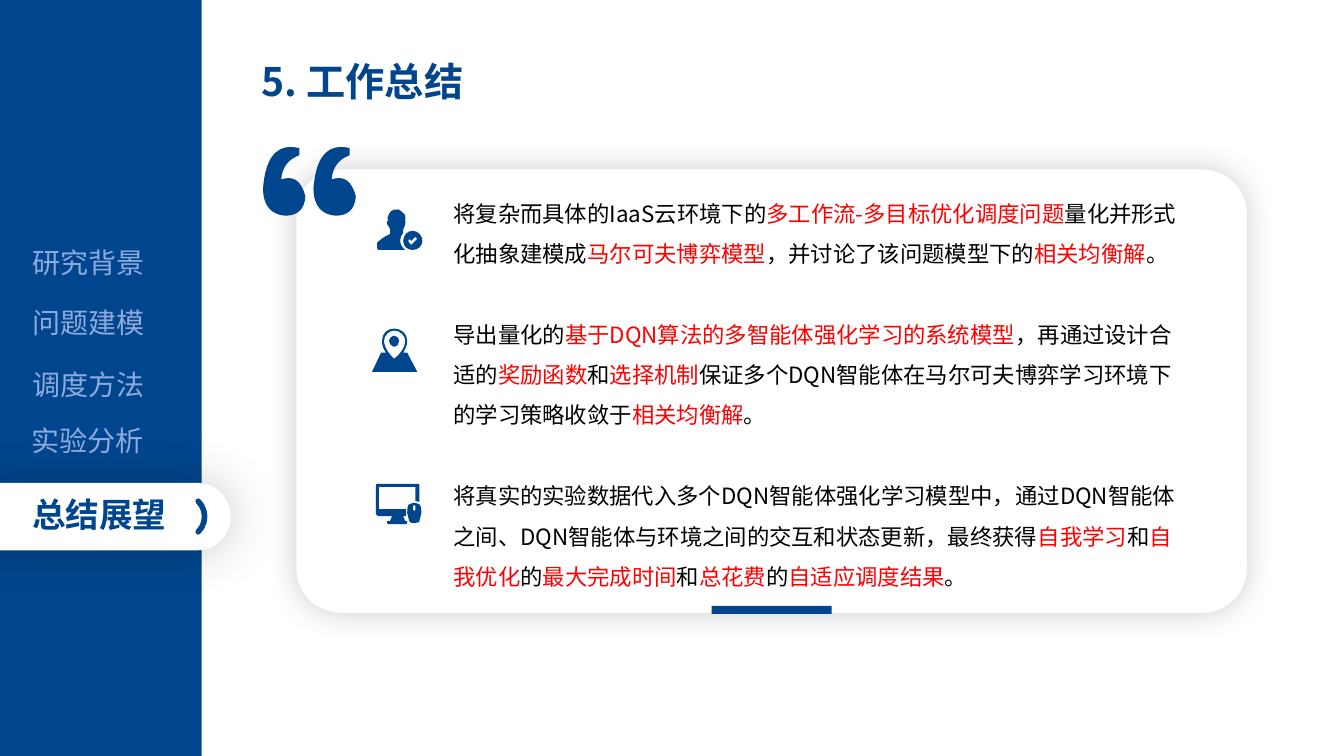
"""Build the work summary slide with its navigation sidebar."""
from lxml import etree
from pptx import Presentation
from pptx.dml.color import RGBColor
from pptx.enum.shapes import MSO_SHAPE
from pptx.enum.text import MSO_AUTO_SIZE
from pptx.oxml.ns import qn
from pptx.util import Pt

PX = 9144
SLIDE_SIZE = (12192000, 6858000)
FONT = "Noto Sans CJK SC"
BLUE = RGBColor(0x00, 0x46, 0x8E)
PALE_BLUE = RGBColor(0x8F, 0xAA, 0xDC)
WHITE = RGBColor(0xFF, 0xFF, 0xFF)
BLACK = RGBColor(0x00, 0x00, 0x00)
RED = RGBColor(0xFF, 0x00, 0x00)
RECTANGLE = MSO_SHAPE.RECTANGLE
ROUNDED = MSO_SHAPE.ROUNDED_RECTANGLE
ARC = MSO_SHAPE.ARC
FIT_SHAPE = MSO_AUTO_SIZE.SHAPE_TO_FIT_TEXT

TITLE = "5. 工作总结"
CURRENT_SECTION = "总结展望"
SECTIONS = [
    ("研究背景", 22, 239),
    ("问题建模", 22, 298),
    ("调度方法", 22, 360),
    ("实验分析", 21, 415),
]
# Text between bars is emphasised.
SUMMARY = [
    "将复杂而具体的IaaS云环境下的|多工作流-多目标优化调度问题|量化并形式化抽象建模成"
    "|马尔可夫博弈模型|，并讨论了该问题模型下的|相关均衡解|。",
    "导出量化的|基于DQN算法的多智能体强化学习的系统模型|，再通过设计合适的|奖励函数|和"
    "|选择机制|保证多个DQN智能体在马尔可夫博弈学习环境下的学习策略收敛于|相关均衡解|。",
    "将真实的实验数据代入多个DQN智能体强化学习模型中，通过DQN智能体之间、"
    "DQN智能体与环境之间的交互和状态更新，最终获得|自我学习|和|自我优化|的"
    "|最大完成时间|和|总花费|的|自适应调度结果|。",
]

QUOTE_MARK = ("289,146 292,146,294,146,297,147 297,154 286,158,280,166,279,178 "
              "291,174,299,179,303,195 302,208,295,214,283,214 "
              "269,213,261,204,261,187 263,159,273,145,289,146")
QUOTE_SHIFTS = (0, 50)
USER_ICON = [
    "412,235 408,239 406,237 405,239 406,241 408,243 410,241 414,237",
    "409,229 415,229,419,234,419,239 419,244,415,248,409,248 "
    "404,248,400,244,400,239 400,234,404,229,409,229",
    "393,208 395,207,396,208,397,209 399,209,399,211,399,211 "
    "399,211,403,211,402,218 402,219,402,219,402,219 402,219,403,220,402,222 "
    "402,225,401,225,401,225 401,226,400,227,400,228 400,231 "
    "398,233,397,236,397,239 397,242,399,246,402,248 376,248 "
    "375,248,374,247,374,246 374,243 374,241,374,240,375,240 "
    "380,235,386,233,387,232 387,232,387,232,387,232 387,228 "
    "386,227,386,226,386,225 385,225,385,224,384,222 "
    "383,220,384,219,385,219 385,219,385,219,385,218 "
    "384,217,384,216,385,215 385,213,386,212,387,211 387,210,388,209,389,209 "
    "389,209,390,208,391,208 391,208,392,208,393,208",
]
MAP_ICON = [
    "391,333 394,333,396,336,396,338 396,341,394,344,391,344 "
    "389,344,386,341,386,338 386,336,389,333,391,333",
    "391,328 386,328,381,333,381,338 381,346,388,353,391,356 "
    "395,353,402,346,402,338 402,333,397,328,391,328",
    "391,326 398,326,404,331,404,338 404,343,402,346,400,350 404,350 "
    "414,369 369,369 378,350 383,350 380,346,379,343,379,338 "
    "379,331,384,326,391,326",
]
COMPUTER_ICON = [
    "411,501 410,501,410,501,410,502 410,506 410,507,410,507,411,507 "
    "412,507,412,507,412,506 412,502 412,501,412,501,411,501",
    "411,499 411,499,412,499,412,499 413,499,415,500,417,501 "
    "417,501,417,501,417,501 "
    "418,504,418,507,418,509 417,512,417,514,416,517 416,518,416,518,416,518 "
    "414,519,413,519,411,519 409,519,408,519,407,518 406,518,406,518,406,517 "
    "405,514,405,512,404,509 404,507,404,504,405,501 405,501,405,501,405,501 "
    "407,500,409,499,410,499 410,499,410,499,411,499",
    "375,480 414,480 415,480,416,480,416,481 416,498 415,498,413,497,412,497 "
    "412,483 376,483 376,505 403,505 403,507,403,508,403,510 "
    "403,511,403,511,403,512 400,512 402,517 403,517 404,517,404,517,404,517 "
    "404,519 404,519,404,520,403,520 385,520 385,520,384,519,384,519 384,517 "
    "384,517,385,517,385,517 387,517 389,512 375,512 374,512,373,511,373,510 "
    "373,481 373,480,374,480,375,480",
]


def add_preset(shapes, kind, box, fill=None, radius=None, shadow=None):
    """Add a borderless preset shape, optionally with a soft shadow."""
    shape = shapes.add_shape(kind, *[value * PX for value in box])
    shape.shadow.inherit = False
    shape.line.fill.background()
    if fill is None:
        shape.fill.background()
    else:
        shape.fill.solid()
        shape.fill.fore_color.rgb = fill
    if radius is not None:
        shape.adjustments[0] = radius
    if shadow is not None:
        opacity, blur = shadow
        effects = shape._element.spPr.find(qn("a:effectLst"))
        outer = etree.SubElement(effects, qn("a:outerShdw"), blurRad=str(Pt(blur)),
                                 dist="0", dir="0", algn="ctr", rotWithShape="0")
        color = etree.SubElement(outer, qn("a:srgbClr"), val=str(BLACK))
        etree.SubElement(color, qn("a:alpha"), val=str(opacity * 1000))
    return shape


def read_outline(outline, shift=0):
    """Turn an outline into segments of one or three points."""
    segments = []
    for token in outline.split():
        numbers = [int(number) for number in token.split(",")]
        segments.append([(x + shift, y) for x, y in zip(numbers[::2], numbers[1::2])])
    return segments


def add_outline(shapes, contours):
    """Add one blue freeform made of closed contours with cubic curves."""
    builder = shapes.build_freeform(*contours[0][0][0], scale=PX)
    for index, segments in enumerate(contours):
        if index:
            builder.move_to(*segments[0][0])
        builder.add_line_segments([points[-1] for points in segments[1:]], close=True)
    shape = builder.convert_to_shape()
    shape.shadow.inherit = False
    shape.fill.solid()
    shape.fill.fore_color.rgb = BLUE
    shape.line.fill.background()
    left, top = round(shape.left / PX), round(shape.top / PX)
    steps = [points for segments in contours for points in segments[1:]]
    lines = list(shape._element.iter(qn("a:lnTo")))
    for line, points in zip(lines, steps):
        if len(points) == 3:
            curve = etree.Element(qn("a:cubicBezTo"))
            for x, y in points:
                etree.SubElement(curve, qn("a:pt"), x=str(x - left), y=str(y - top))
            line.getparent().replace(line, curve)


def add_text(shapes, box, paragraphs, size, color, bold=False, line_spacing=None, gap=0):
    """Add a text box whose odd bar-separated parts are red."""
    frame = shapes.add_textbox(*[value * PX for value in box]).text_frame
    frame.word_wrap = True
    frame.auto_size = FIT_SHAPE
    for index, text in enumerate(paragraphs):
        paragraph = frame.add_paragraph() if index else frame.paragraphs[0]
        paragraph.line_spacing = line_spacing
        if index:
            paragraph.space_before = Pt(gap)
        for position, part in enumerate(text.split("|")):
            run = paragraph.add_run()
            run.text = part
            for name, value in {"size": Pt(size), "bold": bold, "name": FONT}.items():
                setattr(run.font, name, value)
            run.font.color.rgb = RED if position % 2 else color
            etree.SubElement(run._r.get_or_add_rPr(), qn("a:ea"), typeface=FONT)


def main():
    """Assemble and save the slide."""
    presentation = Presentation()
    presentation.slide_width, presentation.slide_height = SLIDE_SIZE
    shapes = presentation.slides.add_slide(presentation.slide_layouts[6]).shapes

    add_preset(shapes, ROUNDED, (294, 168, 943, 440), WHITE, 0.1, (20, 22))
    add_outline(shapes, [read_outline(QUOTE_MARK, shift) for shift in QUOTE_SHIFTS])
    add_preset(shapes, RECTANGLE, (706, 601, 119, 8), BLUE)
    add_preset(shapes, RECTANGLE, (0, 0, 200, 750), BLUE)
    add_text(shapes, (250, 52, 1022, 57), [TITLE], 28, BLUE, bold=True)
    add_text(shapes, (440, 180, 747, 414), SUMMARY, 16, BLACK, line_spacing=1.5, gap=29)
    for icon in (USER_ICON, MAP_ICON, COMPUTER_ICON):
        add_outline(shapes, [read_outline(outline) for outline in icon])

    add_preset(shapes, ROUNDED, (-37, 479, 266, 67), WHITE, 0.5, (21, 37))
    add_text(shapes, (22, 485, 184, 50), [CURRENT_SECTION], 24, BLUE, bold=True)
    arc = add_preset(shapes, ARC, (160, 491, 43, 43))
    arc.rotation = 45
    arc.line.color.rgb = BLUE
    arc.line.width = Pt(4)
    arc.line._get_or_add_ln().set("cap", "rnd")
    for label, left, top in SECTIONS:
        add_text(shapes, (left, top, 150, 44), [label], 20, PALE_BLUE)
    presentation.save("out.pptx")


if __name__ == "__main__":
    main()
